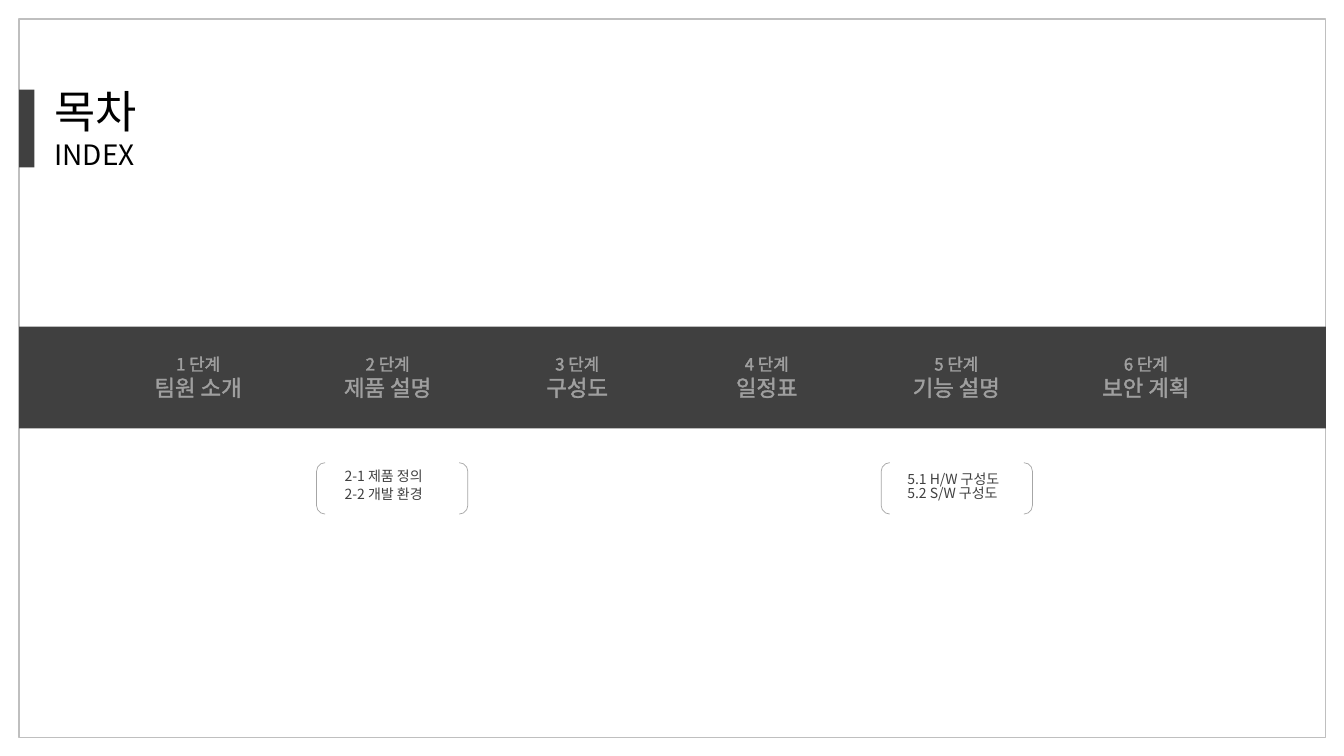
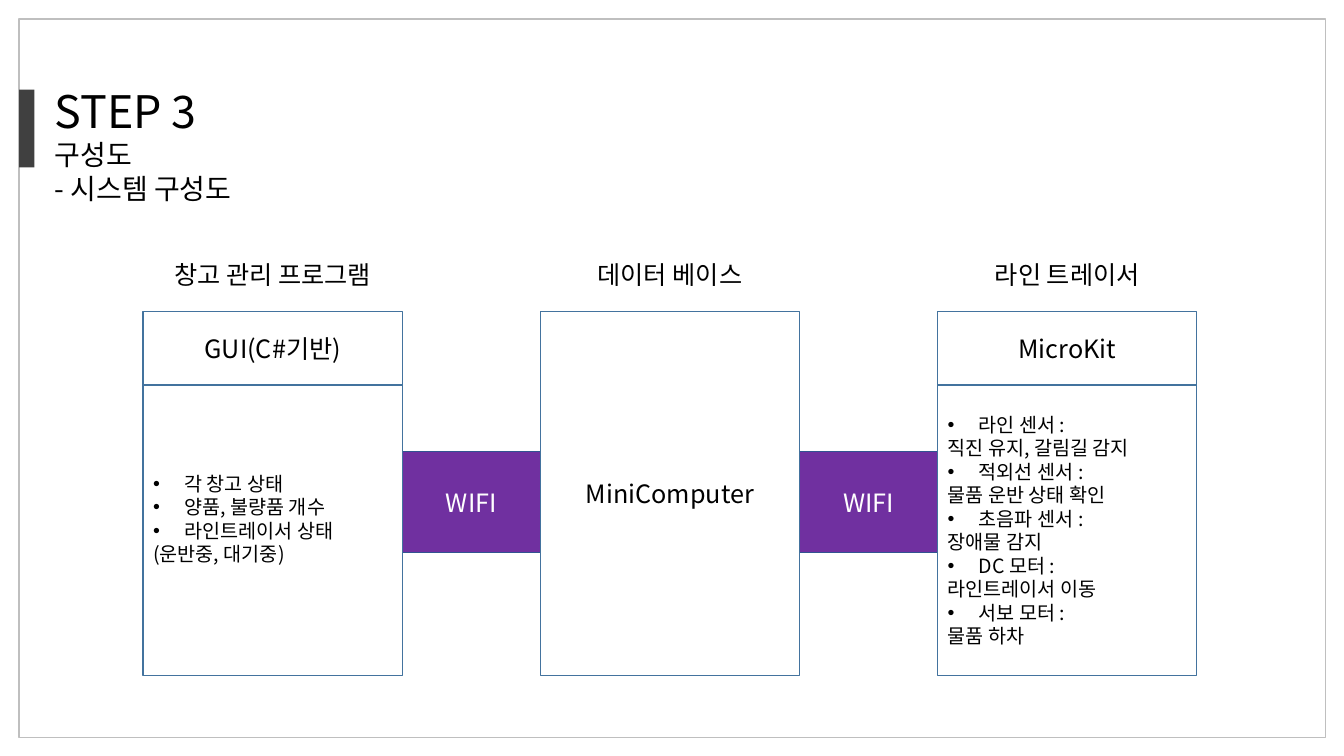
from dataclasses import dataclass

from lxml import etree
from pptx import Presentation
from pptx.dml.color import RGBColor
from pptx.enum import shapes, text
from pptx.oxml import ns
from pptx.util import Inches, Pt

SHAPE = shapes.MSO_SHAPE
ALIGN = text.PP_ALIGN
ANCHOR = text.MSO_ANCHOR


@dataclass(frozen=True)
class Theme:
    font: str = "Noto Sans CJK KR"
    ink: str = "000000"
    paper: str = "FFFFFF"
    dark: str = "404040"
    frame: str = "BFBFBF"
    bracket: str = "A6A6A6"
    panel_line: str = "43739E"
    link: str = "7030A0"
    link_line: str = "325491"
    title: int = 32
    subtitle: int = 20
    label: int = 18
    step: int = 16
    body: int = 14
    step_no: int = 12
    note: int = 10


T = Theme()

# Content
STEPS = ["팀원 소개", "제품 설명", "구성도", "일정표", "기능 설명", "보안 계획"]
# Bracket left, text left, first text top, line pitch, lines
NOTES = [
    (3.14, 3.32, 4.59, 0.18, ["2-1 제품 정의", "2-2 개발 환경"]),
    (8.74, 8.9, 4.62, 0.14, ["5.1 H/W 구성도", "5.2 S/W 구성도"]),
]
# Caption, heading, body lines (a leading bullet marks a list item)
PANELS = [
    ("창고 관리 프로그램", "GUI(C#기반)",
     ["• 각 창고 상태", "• 양품, 불량품 개수", "• 라인트레이서 상태", "(운반중, 대기중)"]),
    ("데이터 베이스", "MiniComputer", []),
    ("라인 트레이서", "MicroKit",
     ["• 라인 센서 :", "직진 유지, 갈림길 감지",
      "• 적외선 센서 :", "물품 운반 상태 확인",
      "• 초음파 센서 :", "장애물 감지",
      "• DC 모터 :", "라인트레이서 이동",
      "• 서보 모터 :", "물품 하차"]),
]


# Text helpers
def style_run(r, size, color, outline=None):
    """Format a run; outline is the opacity of its edge in percent."""
    r.font.size = Pt(size)
    r.font.name = T.font
    r.font.color.rgb = RGBColor.from_string(color)
    props = r.font._element
    latin = props.find(ns.qn("a:latin"))
    latin.addnext(etree.Element(ns.qn("a:ea"), typeface=T.font))
    if outline:
        ln = etree.Element(ns.qn("a:ln"), w=str(Pt(0.75)))
        fill = etree.SubElement(ln, ns.qn("a:solidFill"))
        clr = etree.SubElement(fill, ns.qn("a:srgbClr"), val=color)
        etree.SubElement(clr, ns.qn("a:alpha"), val=str(outline * 1000))
        props.insert(0, ln)


def add_bullet(p):
    props = p._p.get_or_add_pPr()
    props.set("marL", str(Inches(0.31)))
    props.set("indent", str(-Inches(0.31)))
    etree.SubElement(props, ns.qn("a:buFont"), typeface="Arial")
    etree.SubElement(props, ns.qn("a:buChar"), char="•")


def write(tf, lines, sizes, color=T.ink, align=ALIGN.LEFT, outline=None):
    """Fill a frame; the last size serves all remaining lines."""
    tf.text = "\n".join(line.removeprefix("• ") for line in lines)
    for i, (p, line) in enumerate(zip(tf.paragraphs, lines)):
        p.alignment = align
        if line.startswith("• "):
            add_bullet(p)
        style_run(p.runs[0], sizes[min(i, len(sizes) - 1)], color, outline)


# Element helpers
def add_box(slide, at, fill=None, line=None, width=1, kind=SHAPE.RECTANGLE):
    sp = slide.shapes.add_shape(kind, *map(Inches, at))
    sp.shadow.inherit = False
    if fill:
        sp.fill.solid()
        sp.fill.fore_color.rgb = RGBColor.from_string(fill)
    else:
        sp.fill.background()
    if line:
        sp.line.color.rgb = RGBColor.from_string(line)
        sp.line.width = Pt(width)
    else:
        sp.line.fill.background()
    sp.text_frame.vertical_anchor = ANCHOR.MIDDLE
    return sp


def add_label(slide, at, lines, sizes, wrap=True, **style):
    tf = slide.shapes.add_textbox(*map(Inches, at)).text_frame
    tf.word_wrap = wrap
    write(tf, lines, sizes, **style)


def add_slide(prs, title_lines, title_width, title_height):
    """Start a slide with the shared frame, accent bar and title."""
    slide = prs.slides.add_slide(prs.slide_layouts[5])
    add_box(slide, (0.19, 0.19, 12.96, 7.13), line=T.frame)
    add_box(slide, (0.19, 0.89, 0.15, 0.77), fill=T.dark)
    title = slide.shapes.title
    title.left, title.top = Inches(0.44), Inches(0.78)
    title.width, title.height = Inches(title_width), Inches(title_height)
    tf = title.text_frame
    tf.vertical_anchor = ANCHOR.TOP
    tf.auto_size = text.MSO_AUTO_SIZE.NONE
    write(tf, title_lines, [T.title, T.subtitle], outline=50)
    return slide


def add_note(slide, left, text_left, top, pitch, lines):
    add_box(slide, (left, 4.59, 1.5, 0.51), line=T.bracket, width=0.5,
            kind=SHAPE.DOUBLE_BRACKET)
    for i, line in enumerate(lines):
        add_label(slide, (text_left, top + i * pitch, 1.25, 0.27), [line],
                  [T.note], wrap=False, color=T.dark, outline=30)


def add_panel(slide, left, caption, heading, body):
    width, top, bottom, split = 2.57, 3.09, 6.7, 3.82
    add_label(slide, (left, 2.52, width, 0.4), [caption], [T.label],
              align=ALIGN.CENTER)
    head_bottom = split if body else bottom
    head = add_box(slide, (left, top, width, head_bottom - top),
                   T.paper, T.panel_line)
    write(head.text_frame, [heading], [T.label], align=ALIGN.CENTER)
    if body:
        sp = add_box(slide, (left, split, width, bottom - split),
                     T.paper, T.panel_line)
        write(sp.text_frame, body, [T.body], align=ALIGN.JUSTIFY)
        if len(body) < 5:  # a short list sits slightly above the middle
            sp.text_frame.margin_bottom = Inches(0.28)


# Slides
def build_index(prs):
    slide = add_slide(prs, ["목차", "INDEX"], 1.37, 0.98)
    add_box(slide, (0.19, 3.24, 12.96, 1.01), fill=T.dark)
    for i, step in enumerate(STEPS):
        add_label(slide, (1.28 + 1.88 * i, 3.46, 1.37, 0.57),
                  [f"{i + 1} 단계", step], [T.step_no, T.step],
                  color=T.paper, align=ALIGN.CENTER, outline=50)
    for note in NOTES:
        add_note(slide, *note)


def build_system(prs):
    slide = add_slide(prs, ["STEP 3", "구성도", "- 시스템 구성도"], 5.31, 1.31)
    first, pitch = 1.42, 3.94
    for i in range(len(PANELS) - 1):
        link = add_box(slide, (first + 2.57 + pitch * i, 4.48, 1.37, 1),
                       T.link, T.link_line)
        write(link.text_frame, ["WIFI"], [T.label], T.paper, ALIGN.CENTER)
    for i, panel in enumerate(PANELS):
        add_panel(slide, first + pitch * i, *panel)


def main():
    prs = Presentation()
    prs.slide_width, prs.slide_height = Inches(13.33), Inches(7.5)
    build_index(prs)
    build_system(prs)
    prs.save("out.pptx")


if __name__ == "__main__":
    main()
